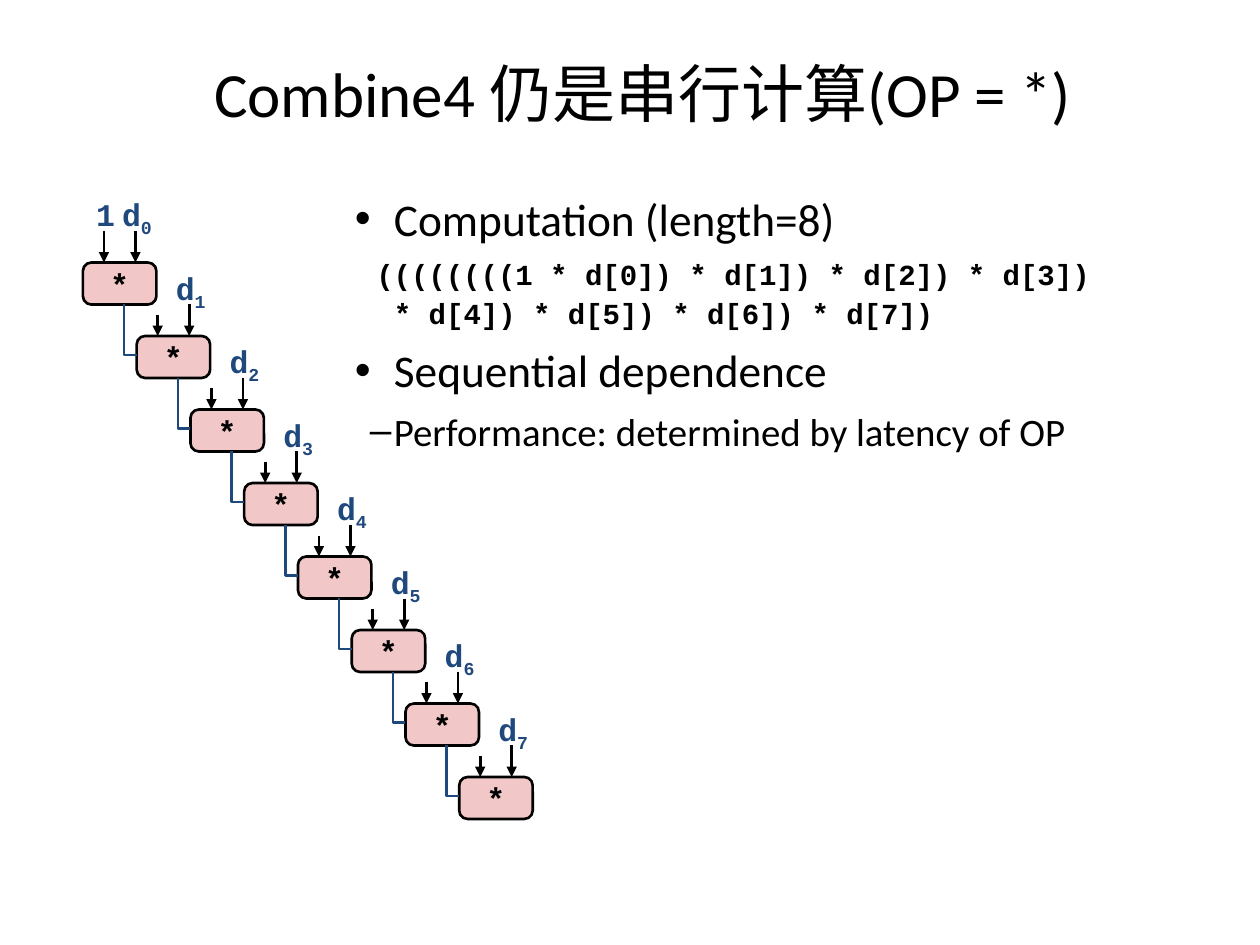
from lxml import etree
from pptx import Presentation
from pptx import util as u
from pptx.dml.color import RGBColor
from pptx.enum import shapes, text
from pptx.oxml.ns import qn

BLACK = RGBColor(0x00, 0x00, 0x00)
NAVY = RGBColor(0x1F, 0x49, 0x7D)
PINK = RGBColor(0xF1, 0xC7, 0xC7)
BODY_FONT, CODE_FONT = "Calibri", "Courier New"

# The slide is a grid of 120 columns by 90 rows, twelve to the inch.
CELL = u.Inches(1) / 12
STEPS = 8
FIRST_COL, FIRST_ROW = 7.9, 25
STEP_COLS, STEP_ROWS = 5.12, 7
BOX_COLS, BOX_ROWS = 7, 4


def cells(*counts):
    return [u.Emu(round(count * CELL)) for count in counts]


class Slide:
    """Current slide with its shared style; all places are in grid cells."""

    def __init__(self, presentation):
        self.page = presentation.slides.add_slide(presentation.slide_layouts[1])
        self.shapes = self.page.shapes

    def place(self, shape, *box):
        shape.left, shape.top, shape.width, shape.height = cells(*box)

    def run(self, paragraph, words, size, font=BODY_FONT, color=BLACK, bold=False):
        run = paragraph.add_run()
        run.text = words
        run.font.size = u.Pt(size)
        run.font.name = font
        run.font.bold = bold
        run.font.color.rgb = color
        return run

    def outline(self, line, color):
        line.color.rgb = color
        line.width = u.Pt(1.5)

    def title(self, words, *box):
        title = self.shapes.title
        self.place(title, *box)
        title.text_frame.vertical_anchor = text.MSO_ANCHOR.MIDDLE
        paragraph = title.text_frame.paragraphs[0]
        paragraph.alignment = text.PP_ALIGN.CENTER
        self.run(paragraph, words, 36)

    def body(self, *box):
        body = self.page.placeholders[1]
        self.place(body, *box)
        body.text_frame.auto_size = text.MSO_AUTO_SIZE.NONE
        return body.text_frame

    def item(self, paragraph, level, hanging, before):
        paragraph.level = level
        paragraph.space_before = u.Pt(before)
        properties = paragraph._p.get_or_add_pPr()
        properties.set("marL", str(u.Inches(0.31)))
        properties.set("indent", str(-u.Inches(hanging)))
        return paragraph

    def code(self, paragraph, lines):
        paragraph.line_spacing = 1.1
        etree.SubElement(paragraph._p.get_or_add_pPr(), qn("a:buNone"))
        for number, line in enumerate(lines):
            if number:
                paragraph.add_line_break()
            self.run(paragraph, line, 16.6, CODE_FONT, bold=True)

    def operator(self, col, row):
        box = self.shapes.add_shape(shapes.MSO_SHAPE.ROUNDED_RECTANGLE,
                                    *cells(col, row, BOX_COLS, BOX_ROWS))
        box.shadow.inherit = False
        box.adjustments[0] = 0.2
        box.fill.solid()
        box.fill.fore_color.rgb = PINK
        self.outline(box.line, BLACK)
        frame = box.text_frame
        frame.word_wrap = False
        frame.vertical_anchor = text.MSO_ANCHOR.MIDDLE
        frame.paragraphs[0].alignment = text.PP_ALIGN.CENTER
        self.run(frame.paragraphs[0], "*", 18, CODE_FONT, bold=True)

    def arrow_down(self, col, row, length):
        """Draw an arrow whose tip is at the given cell."""
        arrow = self.shapes.add_connector(shapes.MSO_CONNECTOR.STRAIGHT,
                                          *cells(col, row - length, col, row))
        self.outline(arrow.line, BLACK)
        etree.SubElement(arrow.line._get_or_add_ln(), qn("a:tailEnd"), type="triangle")
        etree.SubElement(arrow._element.spPr, qn("a:effectLst"))

    def wire(self, col, row):
        """Lead the result above into the left side of the box at this cell."""
        start, *bends = [cells(col - 1.2, row - 3), cells(col - 1.2, row + 1.8),
                         cells(col, row + 1.8)]
        builder = self.shapes.build_freeform(*start)
        builder.add_line_segments(bends, close=False)
        wire = builder.convert_to_shape()
        wire.shadow.inherit = False
        wire.fill.background()
        self.outline(wire.line, NAVY)

    def operand(self, col, row, width, name, index=""):
        frame = self.shapes.add_textbox(*cells(col, row, width, 5.3)).text_frame
        frame.word_wrap = True
        frame.margin_left = frame.margin_right = u.Inches(0.05)
        paragraph = frame.paragraphs[0]
        paragraph.alignment = text.PP_ALIGN.CENTER
        self.run(paragraph, name, 18, CODE_FONT, NAVY, True)
        if index:
            subscript = self.run(paragraph, index, 18, CODE_FONT, NAVY, True)
            subscript.font._element.set("baseline", "-25000")


def main():
    presentation = Presentation()
    presentation.slide_width, presentation.slide_height = cells(120, 90)
    slide = Slide(presentation)

    slide.title("Combine4 仍是串行计算(OP = *)", 4.3, 3.7, 113.8, 10.2)

    notes = slide.body(32.6, 17.6, 83.5, 26.3)
    computation = slide.item(notes.paragraphs[0], 0, 0.31, 0)
    slide.run(computation, "Computation (length=8)", 25.9)
    expression = slide.item(notes.add_paragraph(), 1, 0.14, 4.5)
    slide.code(expression, ["((((((((1 * d[0]) * d[1]) * d[2]) * d[3])",
                            "* d[4]) * d[5]) * d[6]) * d[7])"])
    dependence = slide.item(notes.add_paragraph(), 0, 0.31, 7)
    slide.run(dependence, "Sequential dependence", 25.9)
    performance = slide.item(notes.add_paragraph(), 1, 0.19, 6)
    slide.run(performance, "Performance: determined by latency of OP", 22.2)

    for step in range(STEPS):
        col = FIRST_COL + step * STEP_COLS
        row = FIRST_ROW + step * STEP_ROWS
        slide.operator(col, row)
        slide.arrow_down(col + 2, row, 2 if step else 3)
        slide.arrow_down(col + 5, row, 3)
        if step:
            slide.wire(col, row)
        else:
            slide.operand(col + 0.6, row - 7, 3.1, "1")
        slide.operand(col + 3, row - 7, 4.3, "d", str(step))

    presentation.save("out.pptx")


if __name__ == "__main__":
    main()
